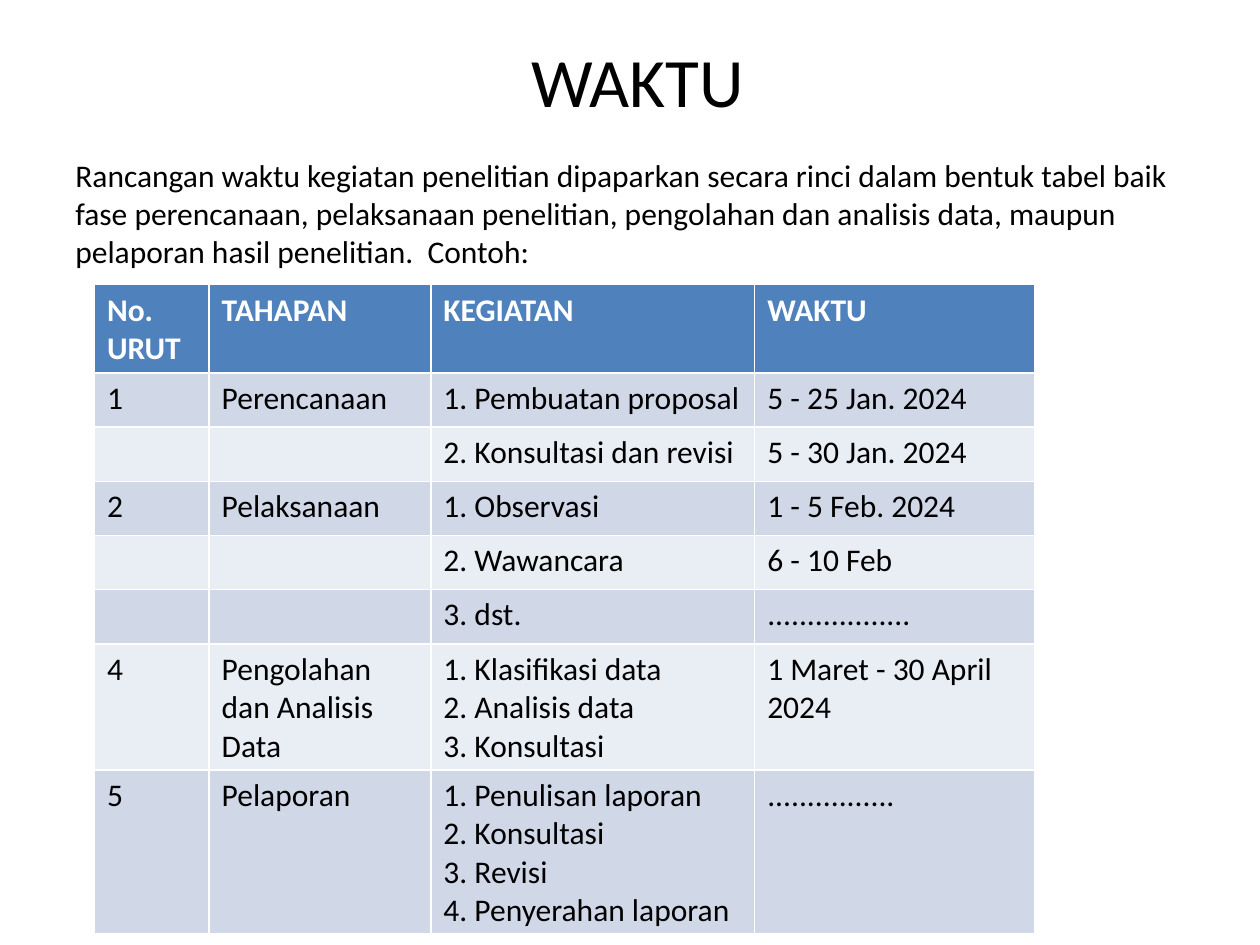
from pptx import Presentation
from pptx.dml.color import RGBColor
from pptx.enum.text import MSO_ANCHOR, PP_ALIGN
from pptx.util import Inches, Pt

THEME = {
    "font": "Calibri",
    "title_size": 39.6,
    "text_size": 18,
    "text": RGBColor.from_string("000000"),
    "header_text": RGBColor.from_string("FFFFFF"),
    "header_fill": RGBColor.from_string("4F81BD"),
    "bands": [RGBColor.from_string("D0D8E8"), RGBColor.from_string("E9EDF4")],
}

prs = Presentation()
prs.slide_width, prs.slide_height = Inches(10), Inches(7.5)
slide = prs.slides.add_slide(prs.slide_layouts[6])
margin = prs.slide_width * 0.05
content_width = prs.slide_width - 2 * margin


def write(frame, text, size=THEME["text_size"], color=THEME["text"], bold=False):
    """Fill a text frame, one paragraph per line of text."""
    frame.word_wrap = True
    frame.text = text
    for paragraph in frame.paragraphs:
        font = paragraph.font
        font.name, font.size, font.bold = THEME["font"], Pt(size), bold
        font.color.rgb = color


# Title
title = slide.shapes.add_textbox(
    int(margin), Inches(0.3), int(content_width), Inches(0.67)).text_frame
write(title, " WAKTU", THEME["title_size"])
title.vertical_anchor = MSO_ANCHOR.MIDDLE
title.paragraphs[0].alignment = PP_ALIGN.CENTER

# Introduction
intro = slide.shapes.add_textbox(
    int(margin), Inches(1.19), int(content_width), Inches(5.51)).text_frame
write(intro, "Rancangan waktu kegiatan penelitian dipaparkan secara rinci dalam "
             "bentuk tabel baik fase perencanaan, pelaksanaan penelitian, "
             "pengolahan dan analisis data, maupun pelaporan hasil penelitian.  "
             "Contoh:")

# Schedule table: the default style supplies the white cell borders
schedule = [
    ("No. URUT", "TAHAPAN", "KEGIATAN", "WAKTU"),
    ("1", "Perencanaan", "1. Pembuatan proposal", "5 - 25 Jan. 2024"),
    ("", "", "2. Konsultasi dan revisi", "5 - 30 Jan. 2024"),
    ("2", "Pelaksanaan", "1. Observasi", "1 - 5 Feb. 2024"),
    ("", "", "2. Wawancara", "6 - 10 Feb"),
    ("", "", "3. dst.", ".................."),
    ("4", "Pengolahan dan Analisis Data",
     "1. Klasifikasi data\n2. Analisis data\n3. Konsultasi",
     "1 Maret - 30 April 2024"),
    ("5", "Pelaporan",
     "1. Penulisan laporan\n2. Konsultasi\n3. Revisi\n4. Penyerahan laporan",
     "................"),
]
column_widths = [0.91, 1.76, 2.57, 2.22]
row_heights = [0.7] + [0.43] * 5 + [1, 1.3]

table = slide.shapes.add_table(
    len(schedule), len(column_widths), Inches(0.75), Inches(2.26),
    Inches(sum(column_widths)), Inches(sum(row_heights))).table
for column, width in zip(table.columns, column_widths):
    column.width = Inches(width)
for row, height in zip(table.rows, row_heights):
    row.height = Inches(height)

for r, entries in enumerate(schedule):
    header = r == 0
    for c, entry in enumerate(entries):
        cell = table.cell(r, c)
        cell.fill.solid()
        cell.fill.fore_color.rgb = (
            THEME["header_fill"] if header else THEME["bands"][(r - 1) % 2])
        write(cell.text_frame, entry, bold=header,
              color=THEME["header_text"] if header else THEME["text"])

prs.save("out.pptx")
